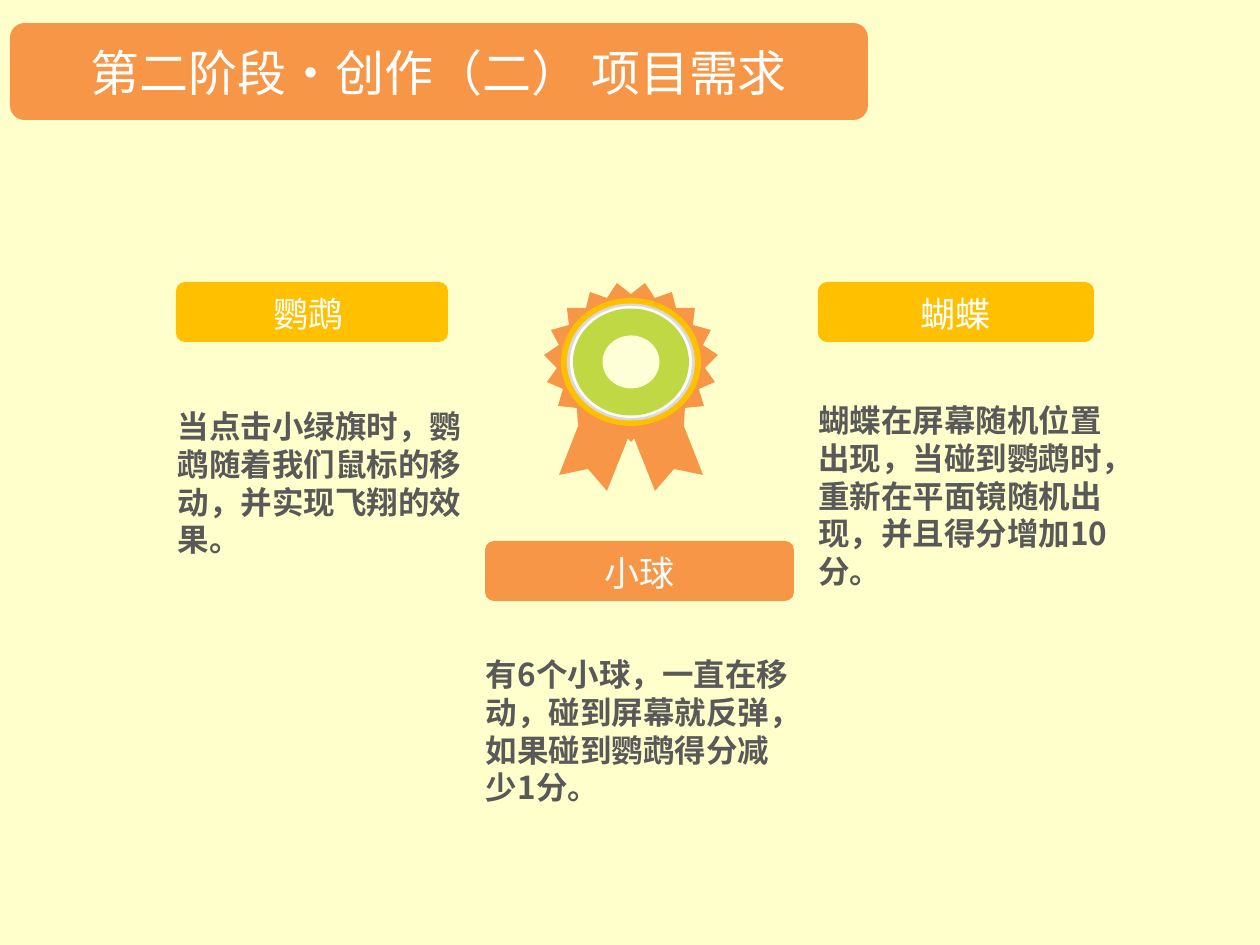
import math

from lxml import etree
from pptx import Presentation
from pptx import util as u
from pptx.dml.color import RGBColor
from pptx.enum import shapes, text
from pptx.oxml import ns

CREAM = RGBColor(0xFF, 0xFF, 0xCC)
ORANGE = RGBColor(0xF7, 0x96, 0x46)
YELLOW = RGBColor(0xFF, 0xC0, 0x00)
GREEN = RGBColor(0xBF, 0xD8, 0x44)
SILVER = RGBColor(0xD9, 0xD9, 0xD9)
IVORY = RGBColor(0xFE, 0xFF, 0xD7)
WHITE = RGBColor(0xFF, 0xFF, 0xFF)
GREY = RGBColor(0x59, 0x59, 0x59)

SCALE = u.Inches(1) / 126


def px(value):
    return u.Emu(round(value * SCALE))


def set_margins(frame, margin):
    frame.margin_left = frame.margin_right = px(margin)
    frame.margin_top = frame.margin_bottom = px(margin)


class Painter:
    font = "Noto Sans CJK SC"

    def __init__(self, slide):
        self.slide = slide

    def paint(self, shape, color):
        shape.shadow.inherit = False
        shape.fill.solid()
        shape.fill.fore_color.rgb = color
        shape.line.fill.background()
        return shape

    def group(self):
        return self.slide.shapes.add_group_shape().shapes

    def rounded(self, parent, left, top, width, height, color):
        shape = parent.add_shape(shapes.MSO_SHAPE.ROUNDED_RECTANGLE,
                                 px(left), px(top), px(width), px(height))
        shape.adjustments[0] = 0.15
        return self.paint(shape, color)

    def ellipse(self, parent, center, width, height, color):
        x, y = center
        shape = parent.add_shape(shapes.MSO_SHAPE.OVAL, px(x - width / 2),
                                 px(y - height / 2), px(width), px(height))
        return self.paint(shape, color)

    def polygon(self, parent, points, color):
        builder = parent.build_freeform(*points[0], scale=SCALE)
        builder.add_line_segments(points[1:], close=True)
        return self.paint(builder.convert_to_shape(), color)

    def add_words(self, frame, words, size, color, bold=None, centered=False):
        frame.word_wrap = True
        paragraph = frame.paragraphs[0]
        paragraph.alignment = text.PP_ALIGN.CENTER if centered else text.PP_ALIGN.LEFT
        run = paragraph.add_run()
        run.text = words
        run.font.size = u.Pt(size)
        run.font.bold = bold
        run.font.color.rgb = color
        run.font.name = self.font
        east_asian = etree.SubElement(run._r.get_or_add_rPr(), ns.qn("a:ea"))
        east_asian.set("typeface", self.font)

    def textbox(self, parent, left, top, width, height, words, size, color, **style):
        box = parent.add_textbox(px(left), px(top), px(width), px(height))
        self.add_words(box.text_frame, words, size, color, **style)
        box.text_frame.auto_size = text.MSO_AUTO_SIZE.SHAPE_TO_FIT_TEXT
        return box

    def label(self, left, top, width, words, color, shift=0):
        group = self.group()
        self.rounded(group, left, top, width, 60, color)
        self.textbox(group, left + shift, top + 4, width, 55, words, 20, WHITE,
                     centered=True)

    def body(self, left, top, height, words):
        box = self.textbox(self.slide.shapes, left, top, 309, height, words, 18,
                           GREY, bold=True)
        set_margins(box.text_frame, 0)


presentation = Presentation()
presentation.slide_width, presentation.slide_height = px(1260), px(945)
slide = presentation.slides.add_slide(presentation.slide_layouts[6])
slide.background.fill.solid()
slide.background.fill.fore_color.rgb = CREAM
painter = Painter(slide)

# Butterfly and parrot
painter.label(818, 282, 276, "蝴蝶", YELLOW)
painter.label(176, 282, 272, "鹦鹉", YELLOW, shift=-3)
painter.body(178, 407, 152, "当点击小绿旗时，鹦鹉随着我们鼠标的移动，并实现飞翔的效果。")

# Award badge: two ribbons, a 19-point rosette and concentric discs
badge = painter.group()
center_x, center_y = center = (631, 362)
ribbon = [(559, 475), (591, 393), (640, 408), (607, 491), (588, 469)]
painter.polygon(badge, ribbon, ORANGE)
painter.polygon(badge, [(2 * center_x - x, y) for x, y in ribbon], ORANGE)

TIPS = 19
rosette = []
for step in range(2 * TIPS):
    angle = math.pi / 2 + step * math.pi / TIPS
    reach_x, reach_y = (74, 68) if step % 2 else (87, 80)
    rosette.append((round(center_x + reach_x * math.cos(angle)),
                    round(center_y + reach_y * math.sin(angle))))
painter.polygon(badge, rosette, ORANGE)

for width, height, color in [(140, 128, YELLOW), (128, 117, SILVER),
                             (122, 112, WHITE), (116, 107, GREEN),
                             (57, 53, IVORY)]:
    painter.ellipse(badge, center, width, height, color)

# Butterfly rules and ball
painter.body(818, 401, 190,
             "蝴蝶在屏幕随机位置出现，当碰到鹦鹉时，重新在平面镜随机出现，并且得分增加10分。")
painter.label(485, 541, 309, "小球", ORANGE)
painter.body(486, 655, 152, "有6个小球，一直在移动，碰到屏幕就反弹，如果碰到鹦鹉得分减少1分。")

# Title banner
banner = painter.rounded(slide.shapes, 10, 23, 858, 97, ORANGE)
set_margins(banner.text_frame, 8)
banner.text_frame.vertical_anchor = text.MSO_ANCHOR.MIDDLE
painter.add_words(banner.text_frame, "第二阶段·创作（二） 项目需求", 28, WHITE,
                  centered=True)

presentation.save("out.pptx")
